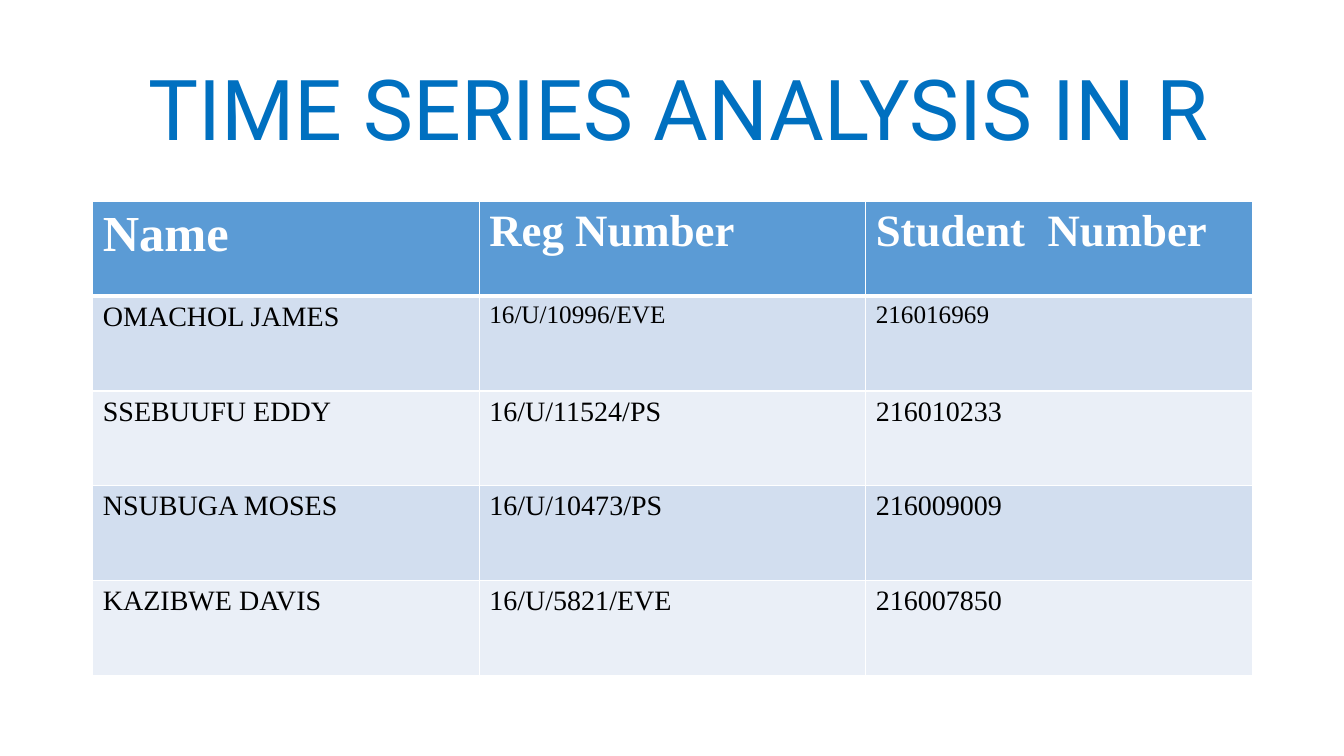
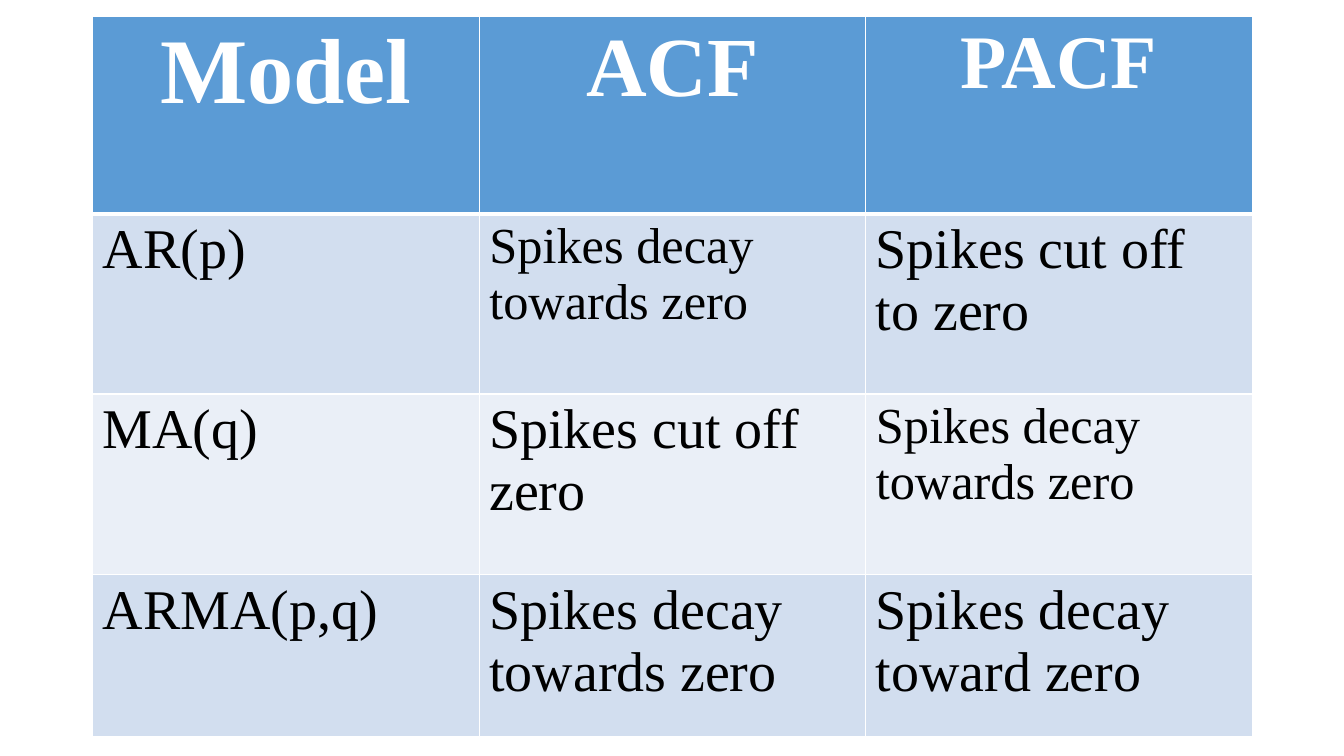
import pptx
import pptx.dml.color
import pptx.enum.text
import pptx.oxml.ns
import pptx.util
from lxml import etree

WIDTH, HEIGHT = 13.33, 7.5
MARGIN, TABLE_WIDTH = 0.92, 11.5
TITLE_FONT, TABLE_FONT = "Roboto", "Times New Roman"
BLUE, HEADER, BANDS = "0070C0", "5B9BD5", ("D2DEEF", "EAEFF7")
WHITE, BLACK = "FFFFFF", "000000"
ALIGN = pptx.enum.text.PP_ALIGN
inch = pptx.util.Inches


def rgb(value):
    return pptx.dml.color.RGBColor.from_string(value)


def style(p, font, size, color, bold=False, align=ALIGN.LEFT):
    p.alignment = align
    p.font.name = font
    p.font.size = pptx.util.Pt(size)
    p.font.bold = bold
    p.font.color.rgb = rgb(color)


def add_title(s, text):
    box = s.shapes.add_textbox(inch(0.34), inch(0.4), inch(WIDTH - 0.34), inch(1.45))
    tf = box.text_frame
    tf.word_wrap = True
    tf.vertical_anchor = pptx.enum.text.MSO_ANCHOR.MIDDLE
    p = tf.paragraphs[0]
    p.text = text
    p.line_spacing = 0.9
    style(p, TITLE_FONT, 60, BLUE, align=ALIGN.CENTER)


def set_borders(cell, top, bottom):
    """Draw white cell edges; top and bottom are widths in points."""
    tc_pr = cell._tc.get_or_add_tcPr()
    for side, width in (("L", 1), ("R", 1), ("T", top), ("B", bottom)):
        line = etree.SubElement(tc_pr, pptx.oxml.ns.qn(f"a:ln{side}"),
                                w=str(pptx.util.Pt(width)))
        fill = etree.SubElement(line, pptx.oxml.ns.qn("a:solidFill"))
        etree.SubElement(fill, pptx.oxml.ns.qn("a:srgbClr"), val=WHITE)


def add_table(s, top, heights, rows, size, header_align=ALIGN.LEFT):
    """Add a banded table; a cell is a text, or a (text, size) pair."""
    columns = len(rows[0])
    table = s.shapes.add_table(len(rows), columns, inch(MARGIN), inch(top),
                               inch(TABLE_WIDTH), inch(sum(heights))).table
    for column in table.columns:
        column.width = inch(TABLE_WIDTH / columns)
    for i, (height, row) in enumerate(zip(heights, rows)):
        table.rows[i].height = inch(height)
        is_header = i == 0
        for j, entry in enumerate(row):
            text, points = entry if isinstance(entry, tuple) else (entry, size)
            cell = table.cell(i, j)
            set_borders(cell, 3 if i == 1 else 1, 3 if is_header else 1)
            cell.fill.solid()
            cell.fill.fore_color.rgb = rgb(HEADER if is_header else BANDS[(i - 1) % 2])
            cell.text = text
            style(cell.text_frame.paragraphs[0], TABLE_FONT, points,
                  WHITE if is_header else BLACK, is_header,
                  header_align if is_header else ALIGN.LEFT)


def add_team_slide(s):
    add_title(s, "TIME SERIES ANALYSIS IN R ")
    add_table(s, 2, [0.94] * 5, [
        [("Name", 36), ("Reg Number", 32), ("Student  Number", 32)],
        ["OMACHOL JAMES", ("16/U/10996/EVE", 18), ("216016969", 18)],
        ["SSEBUUFU EDDY", "16/U/11524/PS", "216010233"],
        ["NSUBUGA MOSES", "16/U/10473/PS", "216009009"],
        ["KAZIBWE DAVIS", "16/U/5821/EVE", "216007850"],
    ], 20)


def add_model_slide(s):
    decay = "Spikes decay towards zero"
    add_table(s, 0.16, [1.96, 1.79, 1.79, 1.61], [
        [("Model", 66), ("ACF", 60), ("PACF", 54)],
        ["AR(p)", (decay, 36), "Spikes cut off to zero"],
        ["MA(q)", "Spikes cut off zero", (decay, 36)],
        ["ARMA(p,q)", decay, "Spikes decay toward zero"],
    ], 40, ALIGN.CENTER)


def main():
    prs = pptx.Presentation()
    prs.slide_width, prs.slide_height = inch(WIDTH), inch(HEIGHT)
    for build in (add_team_slide, add_model_slide):
        build(prs.slides.add_slide(prs.slide_layouts[6]))
    prs.save("out.pptx")


if __name__ == "__main__":
    main()
